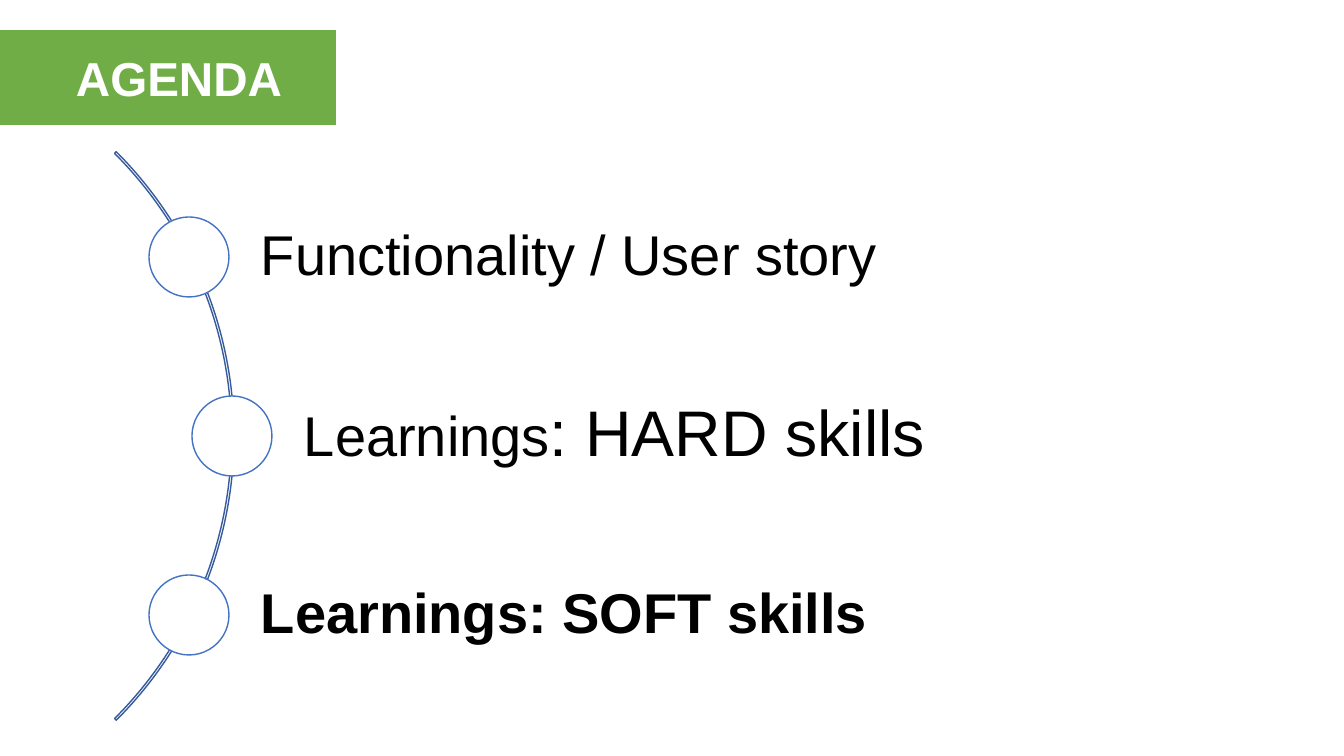
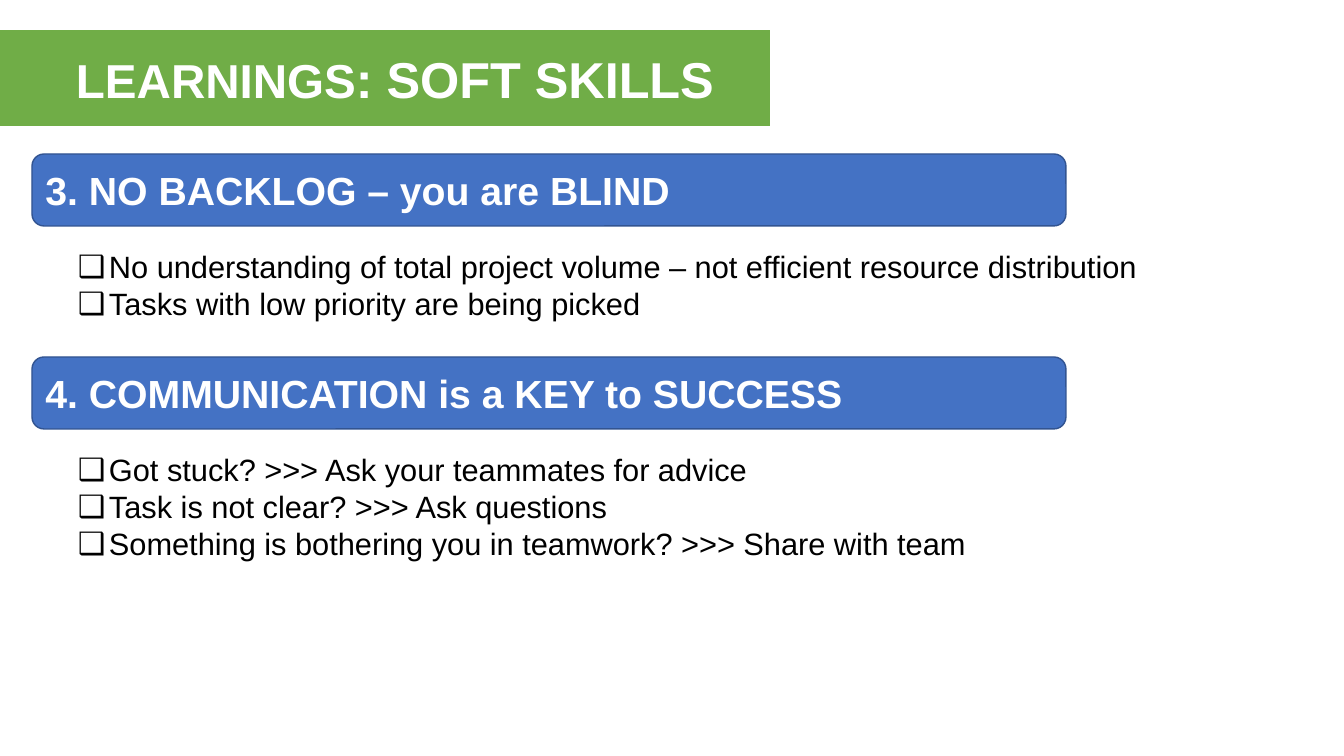
from dataclasses import dataclass

from lxml.etree import SubElement
from pptx import Presentation
from pptx.dml.color import RGBColor as RGB
from pptx.enum.shapes import MSO_SHAPE as SHAPE
from pptx.enum.text import MSO_ANCHOR as ANCHOR, MSO_AUTO_SIZE as AUTOSIZE, PP_ALIGN as ALIGN
from pptx.oxml.ns import qn
from pptx.util import Emu, Pt

EMU_PER_PX = 914400 / 100.8
TITLE_ONLY, TWO_CONTENT = 5, 3


def px(length):
    return Emu(round(length * EMU_PER_PX))


@dataclass(frozen=True)
class Theme:
    font: str = "Arial"
    green: RGB = RGB(0x70, 0xAD, 0x47)
    blue: RGB = RGB(0x44, 0x72, 0xC4)
    heading_edge: RGB = RGB(0x32, 0x54, 0x91)
    arc_edge: RGB = RGB(0x36, 0x5B, 0x9D)
    white: RGB = RGB(0xFF, 0xFF, 0xFF)
    black: RGB = RGB(0, 0, 0)
    title: int = 34
    title_large: int = 36
    agenda: int = 40
    agenda_large: int = 46
    heading: int = 28
    body: int = 22


class Deck:
    """Holds the style and the slide being built."""

    def __init__(self, theme):
        self.theme = theme
        self.prs = Presentation()
        self.prs.slide_width, self.prs.slide_height = px(1344), px(756)
        self.slide = None

    def new_slide(self, layout):
        self.slide = self.prs.slides.add_slide(self.prs.slide_layouts[layout])

    def place(self, shape, left, top, width, height):
        shape.left, shape.top = px(left), px(top)
        shape.width, shape.height = px(width), px(height)

    def frame(self, shape, anchor, insets=(10, 5, 10, 5)):
        frame = shape.text_frame
        frame.word_wrap = True
        frame.auto_size = AUTOSIZE.NONE
        frame.vertical_anchor = anchor
        (frame.margin_left, frame.margin_top,
         frame.margin_right, frame.margin_bottom) = map(px, insets)
        return frame

    def add_text(self, paragraph, pieces, color, bold=False):
        """Fill a paragraph with (text, size) pieces."""
        paragraph.alignment = ALIGN.LEFT
        for text, size in pieces:
            run = paragraph.add_run()
            run.text = text
            font = run.font
            font.name, font.size, font.bold = self.theme.font, Pt(size), bold
            font.color.rgb = color

    def shape(self, kind, box, fill, edge):
        shape = self.slide.shapes.add_shape(kind, *map(px, box))
        shape.shadow.inherit = False
        if fill is None:
            shape.fill.background()
        else:
            shape.fill.solid()
            shape.fill.fore_color.rgb = fill
        shape.line.color.rgb = edge
        shape.line.width = Pt(1)
        return shape

    def title_band(self, pieces, width, height):
        band = self.slide.shapes.title
        self.place(band, 0, 30, width, height)
        band.fill.solid()
        band.fill.fore_color.rgb = self.theme.green
        frame = self.frame(band, ANCHOR.MIDDLE, (76, 5, 10, 5))
        self.add_text(frame.paragraphs[0], pieces, self.theme.white, bold=True)

    def agenda_arc(self):
        arc = self.shape(SHAPE.BLOCK_ARC, (-570, 34, 804, 804), None, self.theme.arc_edge)
        # Start angle, end angle and thickness of the arc
        for index, value in enumerate((189, 27, 0.003)):
            arc.adjustments[index] = value

    def agenda_item(self, center_x, center_y, pieces, bold):
        right, height, radius = 1002, 72, 40
        label = self.slide.shapes.add_textbox(
            px(center_x), px(center_y - height // 2), px(right - center_x), px(height))
        paragraph = self.frame(label, ANCHOR.MIDDLE, (72, 11, 11, 11)).paragraphs[0]
        paragraph.line_spacing = 0.9
        self.add_text(paragraph, pieces, self.theme.black, bold)
        self.shape(SHAPE.OVAL, (center_x - radius, center_y - radius, 2 * radius, 2 * radius),
                   self.theme.white, self.theme.blue)

    def heading(self, text, top):
        bar = self.shape(SHAPE.ROUNDED_RECTANGLE, (32, top, 1034, 72),
                         self.theme.blue, self.theme.heading_edge)
        frame = self.frame(bar, ANCHOR.MIDDLE)
        self.add_text(frame.paragraphs[0], [(text, self.theme.heading)],
                      self.theme.white, bold=True)

    def checklist(self, index, items, top):
        body = self.slide.placeholders[index]
        self.place(body, 68, top, 1156, 11 + 37 * len(items))
        frame = self.frame(body, ANCHOR.TOP)
        for number, item in enumerate(items):
            paragraph = frame.add_paragraph() if number else frame.paragraphs[0]
            props = paragraph._p.get_or_add_pPr()
            props.set("marL", str(px(31)))
            props.set("indent", str(-px(31)))
            SubElement(props, qn("a:buFont"), typeface=self.theme.font)
            SubElement(props, qn("a:buChar"), char="❑")
            paragraph.space_before = Pt(0)
            self.add_text(paragraph, [(item, self.theme.body)], self.theme.black)


def build_agenda(deck):
    theme = deck.theme
    deck.new_slide(TITLE_ONLY)
    deck.title_band([("AGENDA", theme.title)], 336, 95)
    deck.agenda_arc()
    topics = [
        (189, [("Functionality / User story", theme.agenda)], False),
        (232, [("Learnings", theme.agenda), (": HARD skills", theme.agenda_large)], False),
        (189, [("Learnings: SOFT skills", theme.agenda)], True),
    ]
    for row, (center_x, pieces, bold) in enumerate(topics):
        deck.agenda_item(center_x, 257 + 179 * row, pieces, bold)


def build_soft_skills(deck):
    theme = deck.theme
    deck.new_slide(TWO_CONTENT)
    deck.title_band([("LEARNINGS", theme.title), (": SOFT SKILLS", theme.title_large)], 770, 96)
    lessons = [
        ("3. NO BACKLOG – you are BLIND", [
            "No understanding of total project volume – not efficient resource distribution",
            "Tasks with low priority are being picked",
        ]),
        ("4. СOMMUNICATION is a KEY to SUCCESS", [
            "Got stuck? >>> Ask your teammates for advice",
            "Task is not clear? >>> Ask questions",
            "Something is bothering you in teamwork? >>> Share with team",
        ]),
    ]
    for row, (heading, items) in enumerate(lessons):
        top = 154 + 203 * row
        deck.heading(heading, top)
        deck.checklist(row + 1, items, top + 89)


def main():
    deck = Deck(Theme())
    build_agenda(deck)
    build_soft_skills(deck)
    deck.prs.save("out.pptx")


if __name__ == "__main__":
    main()
